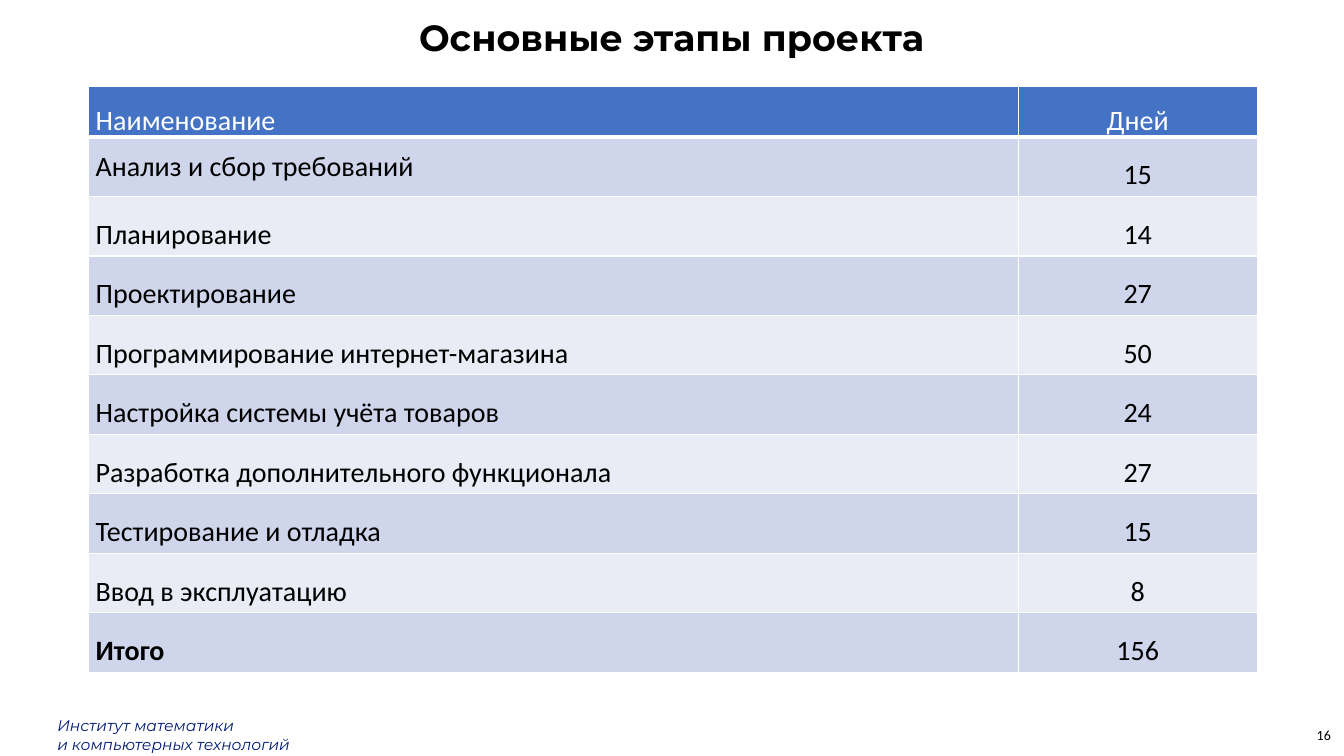
from dataclasses import dataclass

from lxml.etree import SubElement
from pptx import Presentation
from pptx.dml.color import RGBColor
from pptx.enum.text import MSO_ANCHOR, PP_ALIGN
from pptx.oxml.ns import qn
from pptx.util import Inches, Pt


@dataclass(frozen=True)
class Theme:
    heading_font: str = "Montserrat"
    body_font: str = "Calibri"
    black: str = "000000"
    white: str = "FFFFFF"
    navy: str = "001A72"
    header_fill: str = "4472C4"
    bands: tuple = ("CFD5EA", "E9EBF5")
    title_size: int = 26
    table_size: int = 20
    footer_size: int = 11
    number_size: int = 10


class SlideBuilder:
    def __init__(self, slide, theme):
        self.slide = slide
        self.theme = theme

    def style(self, paragraph, font, size, color, bold=False, italic=False):
        paragraph.font.name = font
        paragraph.font.size = Pt(size)
        paragraph.font.color.rgb = RGBColor.from_string(color)
        paragraph.font.bold = bold
        paragraph.font.italic = italic

    def text(self, box, content, font, size, color, insets=(0.1, 0.05),
             align=PP_ALIGN.LEFT, anchor=MSO_ANCHOR.TOP, bold=False, italic=False):
        shape = self.slide.shapes.add_textbox(*map(Inches, box))
        frame = shape.text_frame
        frame.word_wrap = True
        frame.vertical_anchor = anchor
        frame.margin_left = frame.margin_right = Inches(insets[0])
        frame.margin_top = frame.margin_bottom = Inches(insets[1])
        paragraph = frame.paragraphs[0]
        paragraph.text = content
        paragraph.alignment = align
        self.style(paragraph, font, size, color, bold, italic)

    def borders(self, cell, top, bottom):
        properties = cell._tc.get_or_add_tcPr()
        for side, width in (("L", 1), ("R", 1), ("T", top), ("B", bottom)):
            line = SubElement(properties, qn(f"a:ln{side}"), w=str(Pt(width)))
            fill = SubElement(line, qn("a:solidFill"))
            SubElement(fill, qn("a:srgbClr"), val=self.theme.white)

    def cell(self, cell, content, row, column, bold):
        theme = self.theme
        header = row == 0
        self.borders(cell, 3 if row == 1 else 1, 3 if header else 1)
        fill = theme.header_fill if header else theme.bands[(row - 1) % 2]
        cell.fill.solid()
        cell.fill.fore_color.rgb = RGBColor.from_string(fill)
        cell.vertical_anchor = MSO_ANCHOR.MIDDLE
        cell.margin_left = cell.margin_right = Inches(0.07)
        cell.margin_top = cell.margin_bottom = 0
        paragraph = cell.text_frame.paragraphs[0]
        paragraph.text = content
        paragraph.alignment = PP_ALIGN.CENTER if column else PP_ALIGN.LEFT
        if (row, column) == (1, 0):
            paragraph.space_after = Pt(6)
        else:
            paragraph.line_spacing = 1.5
        color = theme.white if header else theme.black
        self.style(paragraph, theme.body_font, theme.table_size, color, bold)

    def table(self, box, rows, widths, header_height, row_height):
        frame = self.slide.shapes.add_table(len(rows), len(widths), *map(Inches, box))
        table = frame.table
        for column, width in zip(table.columns, widths):
            column.width = Inches(width)
        for index, values in enumerate(rows):
            table.rows[index].height = Inches(row_height if index else header_height)
            for column, value in enumerate(values):
                total_label = index == len(rows) - 1 and column == 0
                self.cell(table.cell(index, column), value, index, column, total_label)


STAGES = [
    ("Анализ и сбор требований", 15),
    ("Планирование", 14),
    ("Проектирование", 27),
    ("Программирование интернет-магазина", 50),
    ("Настройка системы учёта товаров", 24),
    ("Разработка дополнительного функционала", 27),
    ("Тестирование и отладка", 15),
    ("Ввод в эксплуатацию", 8),
    ("Итого", 156),
]


def main():
    presentation = Presentation()
    presentation.slide_width = Inches(13.33)
    presentation.slide_height = Inches(7.5)
    theme = Theme()
    slide = presentation.slides.add_slide(presentation.slide_layouts[6])
    builder = SlideBuilder(slide, theme)

    builder.text((0, 0.05, 13.33, 0.64), "Основные этапы проекта", theme.heading_font,
                 theme.title_size, theme.black, insets=(0.1, 0.1),
                 align=PP_ALIGN.CENTER, bold=True)
    builder.text((12.98, 7.09, 0.34, 0.41), "16", theme.body_font, theme.number_size,
                 theme.black, insets=(0.08, 0.04), anchor=MSO_ANCHOR.MIDDLE)
    builder.text((0.47, 7.06, 6.67, 0.47), "Институт математики\nи компьютерных технологий",
                 theme.heading_font, theme.footer_size, theme.navy, italic=True)
    rows = [("Наименование", "Дней")] + [(name, str(days)) for name, days in STAGES]
    builder.table((0.88, 0.86, 11.58, 5.77), rows, (9.22, 2.37), 0.47, 0.59)

    presentation.save("out.pptx")


if __name__ == "__main__":
    main()
